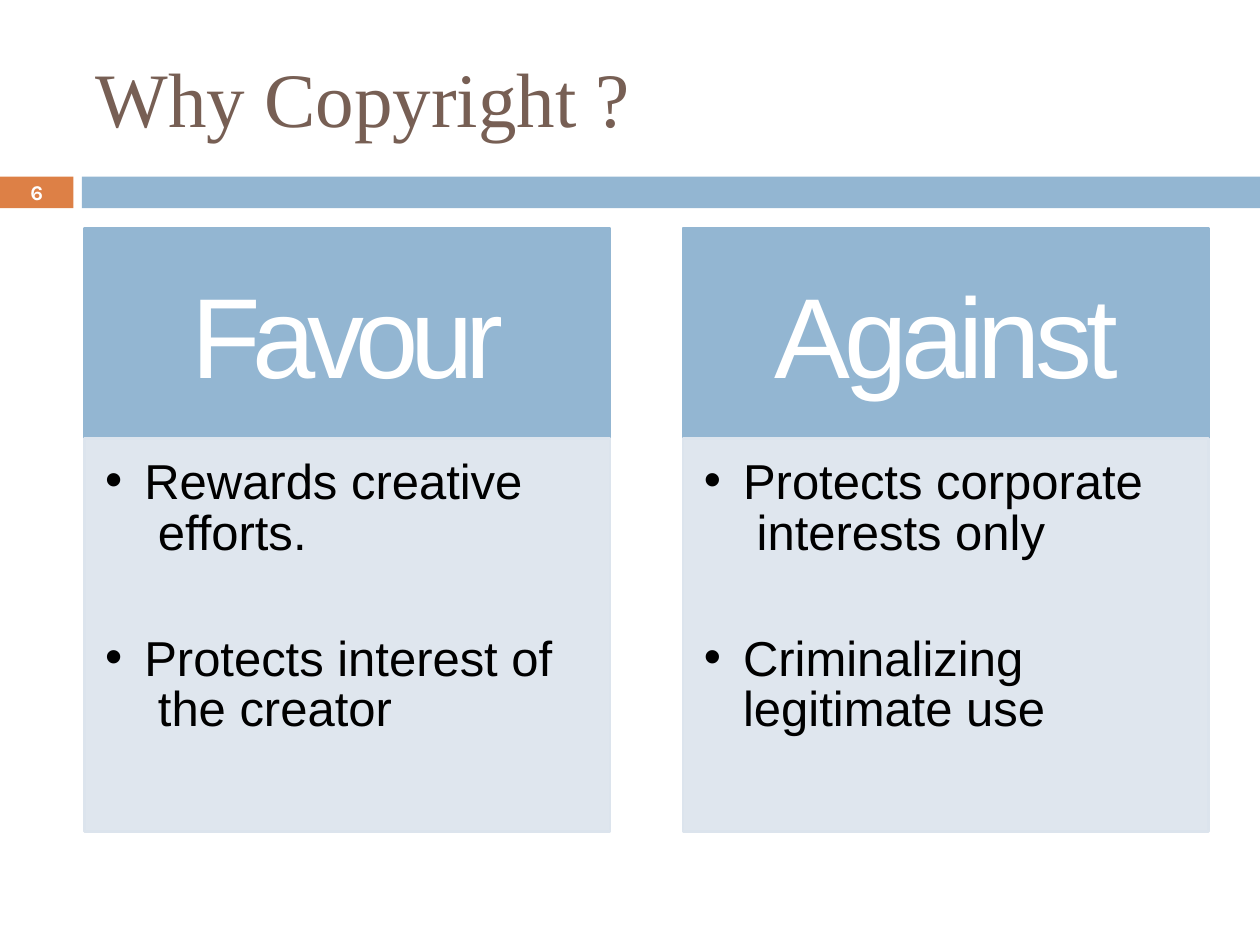
from lxml import etree
from pptx import Presentation
from pptx.dml.color import RGBColor
from pptx.enum.shapes import MSO_SHAPE
from pptx.enum.text import MSO_ANCHOR, MSO_AUTO_SIZE, PP_ALIGN
from pptx.oxml.ns import qn
from pptx.util import Cm, Pt

RECTANGLE = MSO_SHAPE.RECTANGLE
TOP, MIDDLE = MSO_ANCHOR.TOP, MSO_ANCHOR.MIDDLE
LEFT, CENTER = PP_ALIGN.LEFT, PP_ALIGN.CENTER
NO_AUTOFIT = MSO_AUTO_SIZE.NONE

COLORS = {
    "blue": "93B6D2",
    "pale": "DCE4ED",
    "orange": "DD8046",
    "brown": "775F54",
    "white": "FFFFFF",
    "black": "000000",
}
SLIDE_WIDTH, SLIDE_HEIGHT = 25.4, 19.05
PANEL_LEFT, PANEL_TOP, PANEL_STEP = 1.7, 4.6, 12.07
PANEL_WIDTH, PANEL_HEIGHT, HEADING_HEIGHT = 10.6, 12.17, 4.24
PANELS = [
    ("Favour", -4.8, ["Rewards creative\v efforts.", "Protects interest of\v the creator"]),
    ("Against", -3.5, ["Protects corporate\v interests only", "Criminalizing legitimate use"]),
]


def rgb(color):
    """Return the named palette colour."""
    return RGBColor.from_string(COLORS[color])


def move(part, left, top, width, height):
    """Place a part, given centimetres."""
    part.left, part.top, part.width, part.height = map(Cm, (left, top, width, height))


def write(part, lines, size, color, font="Arial", bold=False, tracking=0,
          align=LEFT, anchor=MIDDLE, inset_top=0, leading=None, before=(0,), bullet=None):
    """Fill a part with formatted paragraphs."""
    frame = part.text_frame
    frame.auto_size, frame.word_wrap, frame.vertical_anchor = NO_AUTOFIT, True, anchor
    frame.margin_left = frame.margin_right = frame.margin_bottom = 0
    frame.margin_top = Cm(inset_top)
    for number, line in enumerate(lines):
        paragraph = frame.paragraphs[0] if number == 0 else frame.add_paragraph()
        paragraph.text = line
        paragraph.alignment = align
        paragraph.space_before = Pt(before[number])
        paragraph.space_after = Pt(0)
        if leading:
            paragraph.line_spacing = Pt(leading)
        for run in paragraph.runs:
            run.font.size, run.font.name, run.font.bold = Pt(size), font, bold
            run.font.color.rgb = rgb(color)
            run._r.get_or_add_rPr().set("spc", str(round(tracking * 100)))
        if bullet:
            properties = paragraph._p.get_or_add_pPr()
            properties.set("marL", str(Cm(0.79)))
            properties.set("indent", str(-Cm(0.79)))
            etree.SubElement(properties, qn("a:buChar")).set("char", bullet)


def add_block(slide, left, top, width, height, color, outline=None, opacity=None):
    """Add a flat rectangle with an optional outline and opacity."""
    block = slide.shapes.add_shape(RECTANGLE, Cm(left), Cm(top), Cm(width), Cm(height))
    block.shadow.inherit = False
    block.fill.solid()
    block.fill.fore_color.rgb = rgb(color)
    if outline:
        block.line.color.rgb = rgb(color)
        block.line.width = Pt(outline)
    else:
        block.line.fill.background()
    if opacity:
        fill_color = block._element.spPr.find(qn("a:solidFill"))[0]
        etree.SubElement(fill_color, qn("a:alpha")).set("val", str(opacity * 1000))
    return block


def add_header(slide, left, top, width):
    """Place the title above the band with the page number."""
    title = slide.shapes.title
    move(title, left + 1.93, top + 0.99, 12, 1.95)
    write(title, ["Why Copyright ?"], 44, "brown", font="Times New Roman",
          anchor=TOP, inset_top=0.03, before=(0.9,))
    page_number = add_block(slide, left, top + 3.56, 1.48, 0.64, "orange")
    write(page_number, ["6"], 12, "white", font="Karla", bold=True, align=CENTER)
    add_block(slide, left + 1.65, top + 3.56, width - 1.65, 0.64, "blue")


def add_panel(slide, points_holder, left, top, width, height, heading, tracking, points):
    """Place a heading block over a list of points."""
    heading_block = add_block(slide, left, top, width, HEADING_HEIGHT, "blue", outline=1.5)
    write(heading_block, [heading], 65, "white", tracking=tracking, align=CENTER)
    points_top = top + HEADING_HEIGHT
    points_block = add_block(slide, left, points_top, width, height - HEADING_HEIGHT,
                             "pale", outline=1.5, opacity=90)
    move(points_holder, left + 0.42, points_top + 0.2, width - 0.84, 5.8)
    points_block._element.addnext(points_holder._element)
    write(points_holder, points, 28, "black", anchor=TOP, inset_top=0.2,
          leading=29, before=(5.8, 43), bullet="•")


def build():
    """Build and save the slide."""
    deck = Presentation()
    deck.slide_width, deck.slide_height = Cm(SLIDE_WIDTH), Cm(SLIDE_HEIGHT)
    slide = deck.slides.add_slide(deck.slide_layouts[3])
    points_holders = list(slide.placeholders)[1:]
    add_header(slide, 0, 0, SLIDE_WIDTH)
    for column, (panel, points_holder) in enumerate(zip(PANELS, points_holders)):
        add_panel(slide, points_holder, PANEL_LEFT + column * PANEL_STEP, PANEL_TOP,
                  PANEL_WIDTH, PANEL_HEIGHT, *panel)
    deck.save("out.pptx")


build()
